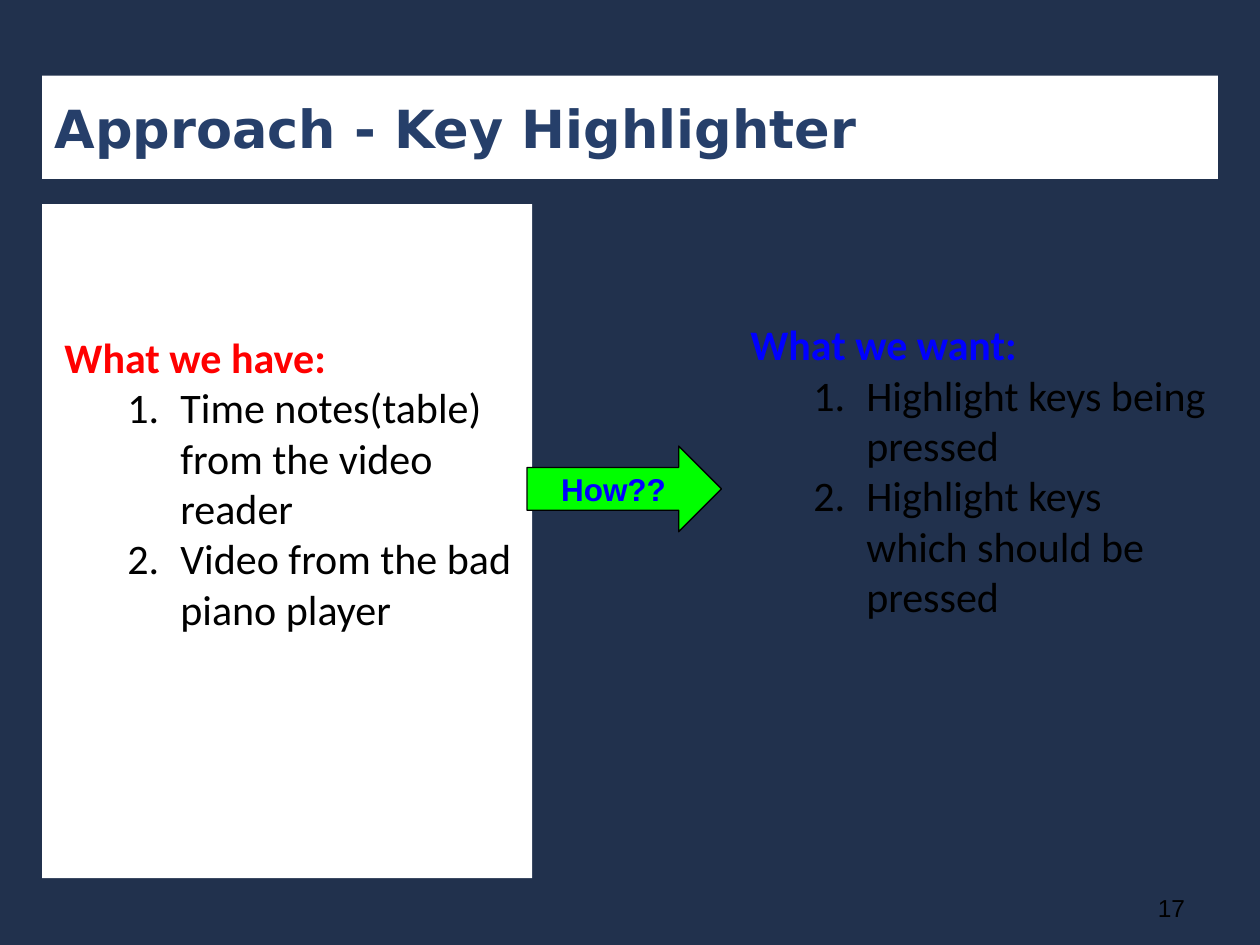
import pptx
import pptx.util
import pptx.dml.color
import pptx.enum.shapes
import pptx.enum.text
import pptx.oxml.ns
from dataclasses import dataclass
from lxml import etree

Inches = pptx.util.Inches
Align = pptx.enum.text.PP_ALIGN
Anchor = pptx.enum.text.MSO_ANCHOR
WIDE, HIGH = 10, 7.5


@dataclass(frozen=True)
class Theme:
    back: str = "21314D"
    panel: str = "FFFFFF"
    title: str = "263F6A"
    ink: str = "000000"
    have: str = "FF0000"
    want: str = "0000FF"
    arrow: str = "00FF00"
    head: str = "DejaVu Sans"
    body: str = "Calibri"
    label: str = "Arial"
    big: int = 30
    text: int = 24
    mid: int = 18
    small: int = 14


LOOK = Theme()


def color(code):
    return pptx.dml.color.RGBColor.from_string(code)


def paint(fill, code):
    fill.solid()
    fill.fore_color.rgb = color(code)


def place(shape, box):
    shape.left, shape.top, shape.width, shape.height = map(Inches, box)


def setup(frame, anchor, side=0.1, top=0.1):
    frame.word_wrap = True
    frame.auto_size = pptx.enum.text.MSO_AUTO_SIZE.NONE
    frame.vertical_anchor = anchor
    frame.margin_left = frame.margin_right = Inches(side)
    frame.margin_top = Inches(top)
    frame.margin_bottom = Inches(min(top, 0.1))


def style(para, face, size, code, bold=False, align=Align.LEFT):
    para.alignment = align
    for run in para.runs:
        font = run.font
        font.name, font.size, font.bold = face, pptx.util.Pt(size), bold
        font.color.rgb = color(code)


def indent(para, left, hang, number=False):
    props = para._p.get_or_add_pPr()
    props.set("marL", str(Inches(left)))
    props.set("indent", str(Inches(-hang)))
    if number:
        tag = pptx.oxml.ns.qn
        tint = etree.SubElement(props, tag("a:buClr"))
        etree.SubElement(tint, tag("a:srgbClr"), val=LOOK.ink)
        etree.SubElement(props, tag("a:buFont"), typeface=LOOK.body)
        etree.SubElement(props, tag("a:buAutoNum"), type="arabicPeriod")


def banner(slide, box, words):
    shape = slide.shapes.title
    place(shape, box)
    paint(shape.fill, LOOK.panel)
    frame = shape.text_frame
    setup(frame, Anchor.MIDDLE)
    frame.text = words
    style(frame.paragraphs[0], LOOK.head, LOOK.big, LOOK.title, True)


def column(slide, box, drop, head, tint, items, fill=None):
    """A coloured heading over a numbered list, starting drop below the top."""
    shape = slide.shapes.add_textbox(*map(Inches, box))
    if fill:
        paint(shape.fill, fill)
    frame = shape.text_frame
    setup(frame, Anchor.TOP, top=drop)
    para = frame.paragraphs[0]
    para.text = head
    indent(para, 0.5, 0.42)
    style(para, LOOK.body, LOOK.text, tint, True)
    for item in items:
        para = frame.add_paragraph()
        para.text = item
        indent(para, 1, 0.42, number=True)
        style(para, LOOK.body, LOOK.text, LOOK.ink)


def arrow(slide, box, words):
    kind = pptx.enum.shapes.MSO_SHAPE.RIGHT_ARROW
    shape = slide.shapes.add_shape(kind, *map(Inches, box))
    shape.shadow.inherit = False
    paint(shape.fill, LOOK.arrow)
    shape.line.color.rgb = color(LOOK.ink)
    shape.line.width = pptx.util.Pt(0.75)
    frame = shape.text_frame
    setup(frame, Anchor.MIDDLE)
    frame.text = words
    style(frame.paragraphs[0], LOOK.label, LOOK.mid, LOOK.want, True, Align.CENTER)


def folio(slide, box, words):
    frame = slide.shapes.add_textbox(*map(Inches, box)).text_frame
    setup(frame, Anchor.BOTTOM, top=0.05)
    frame.text = words
    style(frame.paragraphs[0], LOOK.label, LOOK.small, LOOK.ink)


def main():
    deck = pptx.Presentation()
    deck.slide_width, deck.slide_height = Inches(WIDE), Inches(HIGH)
    slide = deck.slides.add_slide(deck.slide_layouts[5])
    paint(slide.background.fill, LOOK.back)

    edge = WIDE / 30
    top, wide, tall = 1.62, 3.89, 5.35
    right = WIDE - edge - wide
    banner(slide, (edge, 0.08 * HIGH, WIDE - 2 * edge, 0.82),
           "Approach - Key Highlighter")
    column(slide, (edge, top, wide, tall), 1.01, "What we have:", LOOK.have,
           ["Time notes(table) from the video reader",
            "Video from the bad piano player"], LOOK.panel)
    column(slide, (right, top, wide, tall), 0.91, "What we want:", LOOK.want,
           ["Highlight keys being pressed",
            "Highlight keys which should be pressed"])
    gap = right - edge - wide
    arrow(slide, (edge + wide - 0.04, 3.54, gap - 0.01, 0.68), "How??")
    folio(slide, (9.09, 7.04, 0.79, 0.33), "17")
    deck.save("out.pptx")


if __name__ == "__main__":
    main()
